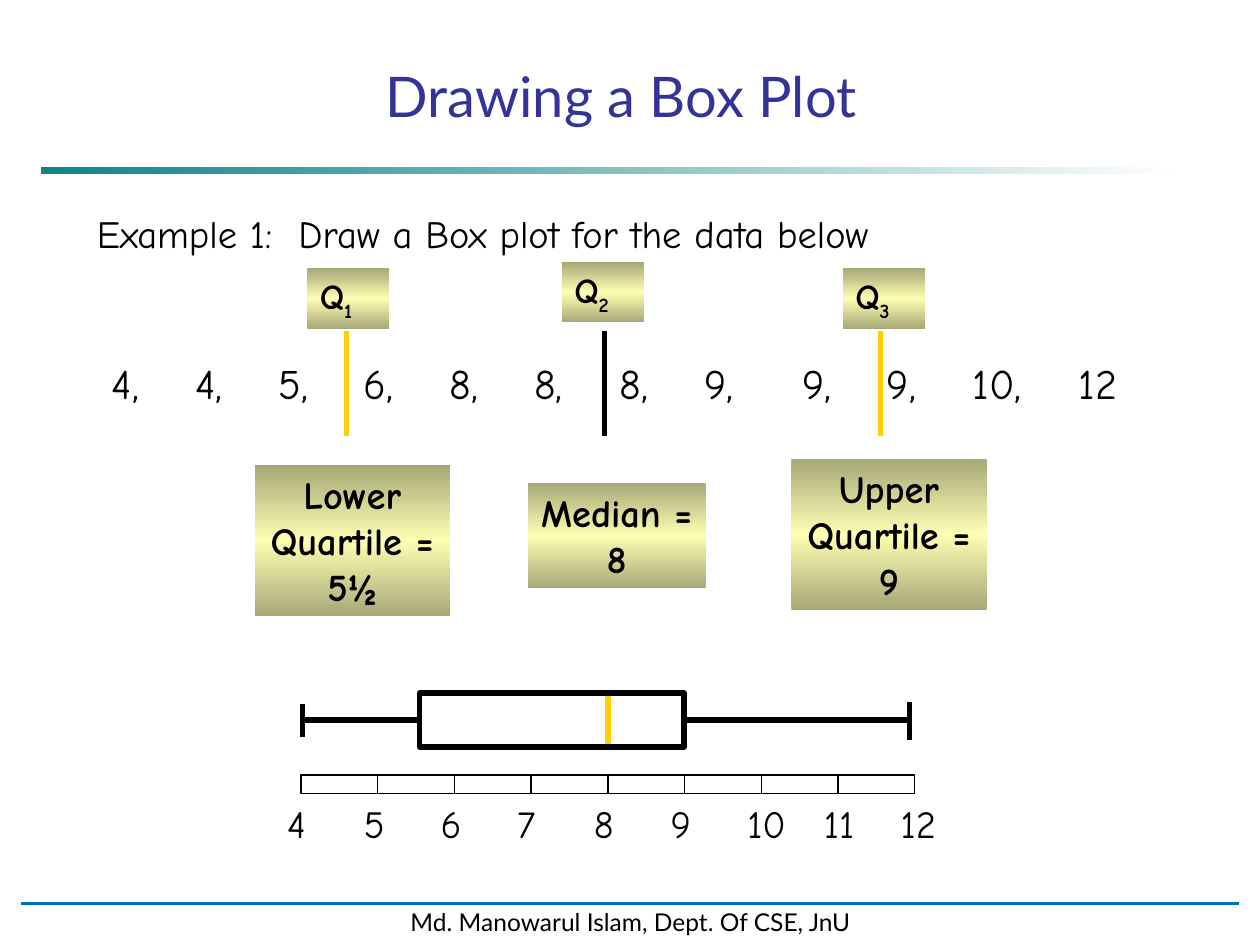
"""Build a slide that explains how to draw a box plot from quartiles."""
import pptx
import pptx.dml.color
import pptx.enum.shapes
import pptx.enum.text
import pptx.oxml
import pptx.oxml.ns
import pptx.util
from lxml import etree

Inches = pptx.util.Inches
qn = pptx.oxml.ns.qn
RECT = pptx.enum.shapes.MSO_SHAPE.RECTANGLE
STRAIGHT = pptx.enum.shapes.MSO_CONNECTOR.STRAIGHT
LEFT = pptx.enum.text.PP_ALIGN.LEFT
CENTER = pptx.enum.text.PP_ALIGN.CENTER
MIDDLE = pptx.enum.text.MSO_ANCHOR.MIDDLE

HAND, SANS = "Comic Neue", "Lato"
BLACK, WHITE, GOLD = "000000", "FFFFFF", "FFCF01"
OLIVE = [(0, "A8A877", 100), (50, "FDFDB3", 100), (100, "A8A877", 100)]
TEAL = [(0, "008080", 95), (100, WHITE, 100)]

TITLE = "Drawing a Box Plot"
TASK = ["Example 1:", "Draw a Box plot for the data below"]
FOOTER = "Md. Manowarul Islam, Dept. Of CSE, JnU"
DATA = ["4,", "4,", "5,", "6,", "8,", "8,", "8,", "9,", "9,", "9,", "10,", "12"]
DATA_TABS = [0.66, 1.32, 2, 2.68, 3.35, 4.03, 4.7, 5.48, 6.15, 6.83, 7.67]
QUARTILES = [
    {"sub": "1", "tag": (2.44, 2.13), "x": 2.75, "color": GOLD,
     "text": "Lower Quartile = 5½", "box": (2.02, 3.69, 1.55, 1.2)},
    {"sub": "3", "tag": (6.69, 2.13), "x": 6.99, "color": GOLD,
     "text": "Upper Quartile = 9", "box": (6.28, 3.64, 1.55, 1.2)},
    {"sub": "2", "tag": (4.46, 2.08), "x": 4.8, "color": BLACK,
     "text": "Median = 8", "box": (4.19, 3.83, 1.41, 0.84)},
]
LOW, HIGH, MEDIAN = 4, 12, 8
AXIS_LEFT, AXIS_TOP, AXIS_WIDTH = 2.39, 6.15, 4.87
STEP = AXIS_WIDTH / (HIGH - LOW)
BOX = (3.33, 5.5, 2.1, 0.43)
WHISKERS = [{"x": 2.4, "cap": (5.59, 5.85), "side": 1},
            {"x": 7.22, "cap": (5.57, 5.87), "side": 3}]


def rgb(value):
    return pptx.dml.color.RGBColor.from_string(value)


def axis_x(value):
    return AXIS_LEFT + STEP * (value - LOW)


def add_rect(s, at, fill=None, line=None, width=1):
    sp = s.shapes.add_shape(RECT, *map(Inches, at))
    sp.shadow.inherit = False
    if fill:
        sp.fill.solid()
        sp.fill.fore_color.rgb = rgb(fill)
    else:
        sp.fill.background()
    if line:
        sp.line.color.rgb = rgb(line)
        sp.line.width = pptx.util.Pt(width)
    else:
        sp.line.fill.background()
    return sp


def set_gradient(sp, stops, angle):
    sp.fill.gradient()
    sp.fill.gradient_angle = angle
    stop_list = next(sp._element.spPr.iter(qn("a:gsLst")))
    for old in list(stop_list):
        stop_list.remove(old)
    for pos, color, alpha in stops:
        gs = etree.SubElement(stop_list, qn("a:gs"), pos=str(pos * 1000))
        clr = etree.SubElement(gs, qn("a:srgbClr"), val=color)
        if alpha < 100:
            etree.SubElement(clr, qn("a:alpha"), val=str(alpha * 1000))


def add_line(s, start, end, color, width=3):
    cx = s.shapes.add_connector(STRAIGHT, *map(Inches, start + end))
    cx.line.color.rgb = rgb(color)
    cx.line.width = pptx.util.Pt(width)
    etree.SubElement(cx._element.spPr, qn("a:effectLst"))
    return cx


def write(sp, runs, size, font=HAND, color=BLACK, bold=False, align=LEFT,
          anchor=pptx.enum.text.MSO_ANCHOR.TOP, wrap=True, tabs=()):
    tf = sp.text_frame
    tf.word_wrap = wrap
    tf.vertical_anchor = anchor
    p = tf.paragraphs[0]
    p.alignment = align
    if tabs:
        tab_list = etree.SubElement(p._p.get_or_add_pPr(), qn("a:tabLst"))
        for tab in tabs:
            etree.SubElement(tab_list, qn("a:tab"), pos=str(Inches(tab)), algn="l")
    for text, baseline in runs:
        r = p.add_run()
        r.text = text
        r.font.size = pptx.util.Pt(size)
        r.font.name = font
        r.font.bold = bold
        r.font.color.rgb = rgb(color)
        if baseline:
            r.font._element.set("baseline", str(baseline * 1000))


def add_text(s, at, text, size, **style):
    write(s.shapes.add_textbox(*map(Inches, at)), [(text, 0)], size, **style)


def add_quartile(s, q):
    add_line(s, (q["x"], 2.63), (q["x"], 3.46), q["color"])
    label = add_rect(s, q["box"])
    set_gradient(label, OLIVE, 270)
    write(label, [(q["text"], 0)], 22, bold=True, align=CENTER)
    tag = add_rect(s, q["tag"] + (0.65, 0.48))
    set_gradient(tag, OLIVE, 270)
    write(tag, [("Q", 0), (q["sub"], -25)], 20, bold=True)


def add_axis(s):
    for value in range(LOW, HIGH):
        add_rect(s, (axis_x(value), AXIS_TOP, STEP, 0.15), line=BLACK, width=0.75)
    for value in range(LOW, HIGH + 1):
        width = 0.42 if value < 10 else 0.67
        add_text(s, (axis_x(value) - 0.21, 6.3, width, 0.47), str(value), 22)


def add_box_plot(s):
    top, height = BOX[1], BOX[3]
    middle = top + height / 2
    median = axis_x(MEDIAN)
    add_line(s, (median, top + height), (median, top), GOLD)
    box = add_rect(s, BOX, line=BLACK, width=3)
    for w in WHISKERS:
        whisker = add_line(s, (w["x"], middle), (BOX[0], middle), BLACK)
        whisker.end_connect(box, w["side"])
        add_line(s, (w["x"], w["cap"][0]), (w["x"], w["cap"][1]), BLACK)


def main():
    prs = pptx.Presentation()
    prs.slide_width, prs.slide_height = Inches(10), Inches(7.5)
    s = prs.slides.add_slide(prs.slide_layouts[6])
    set_gradient(add_rect(s, (0.33, 1.33, 9, 0.05)), TEAL, 0)
    footer = add_rect(s, (0.17, 7.15, 9.67, 0.33), WHITE, WHITE, 2)
    write(footer, [(FOOTER, 0)], 14, font=SANS, align=CENTER, anchor=MIDDLE, wrap=False)
    add_line(s, (0.17, 7.17), (9.83, 7.17), "0070C0", 1.75)
    for q in QUARTILES:
        add_quartile(s, q)
    add_axis(s)
    add_box_plot(s)
    add_text(s, (0.79, 2.79, 8.75, 0.5), "\t".join(DATA), 24, tabs=DATA_TABS)
    add_text(s, (0.67, 1.62, 9.02, 0.47), "\t".join(TASK), 22, tabs=[1.6])
    add_text(s, (0.67, 0.42, 8.52, 0.67), TITLE, 32, font=SANS, color="333399",
             align=CENTER, anchor=MIDDLE)
    prs.save("out.pptx")


if __name__ == "__main__":
    main()
